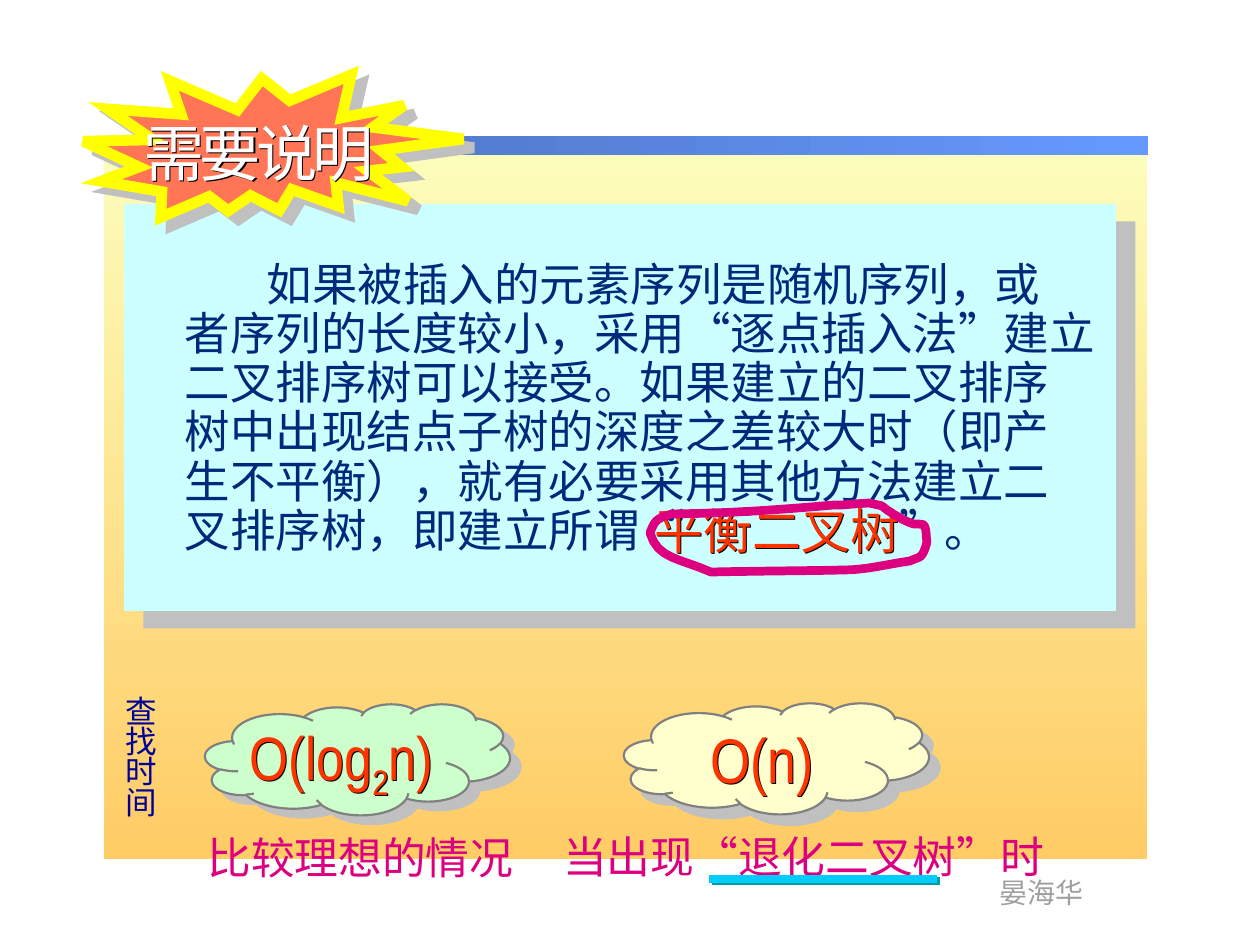
from lxml import etree
from pptx import Presentation
from pptx.dml.color import RGBColor
from pptx.enum.shapes import MSO_CONNECTOR, MSO_SHAPE
from pptx.enum.text import MSO_ANCHOR, MSO_AUTO_SIZE, PP_ALIGN
from pptx.oxml.ns import qn
from pptx.util import Pt

RECT, CLOUD, SEAL = MSO_SHAPE.RECTANGLE, MSO_SHAPE.CLOUD, MSO_SHAPE.EXPLOSION2
STRAIGHT = MSO_CONNECTOR.STRAIGHT
TOP, LEFT, NO_FIT = MSO_ANCHOR.TOP, PP_ALIGN.LEFT, MSO_AUTO_SIZE.NONE
SCALE = 914400 / 126
FONT = "Arial Narrow"
TEXT_SHADOW = ("black", 1, 45)
COLORS = {
    "cream": "FCFEBC", "amber": "FFCC66", "steel": "496DB6", "sky": "6699FF",
    "panel": "CCFFFF", "navy": "00297C", "label": "000099", "orange": "FF3300",
    "magenta": "DC0081", "mint": "CCFFCC", "ivory": "FFFFCD", "outline": "808080",
    "shadow": "C0C0C0", "coral": "FF7555", "yellow": "FFFF00", "white": "FFFFFF",
    "cyan": "00CCFF", "teal": "009EA1", "author": "9F9F9F", "black": "000000",
}
BODY = [
    "如果被插入的元素序列是随机序列，或",
    "者序列的长度较小，采用“逐点插入法”建立",
    "二叉排序树可以接受。如果建立的二叉排序",
    "树中出现结点子树的深度之差较大时（即产",
    "生不平衡），就有必要采用其他方法建立二",
    "叉排序树，即建立所谓“",
]
RING_START = (184, 2)
RING_CURVES = [
    ((126, 7), (85, 10), (22, 11)), ((5, 15), (4, 20), (0, 30)),
    ((8, 56), (29, 55), (61, 69)), ((106, 68), (150, 68), (194, 67)),
    ((216, 67), (238, 61), (260, 58)), ((264, 56), (269, 55), (271, 53)),
    ((275, 49), (277, 39), (277, 39)), ((276, 34), (277, 27), (274, 22)),
    ((272, 21), (267, 21), (264, 21)), ((260, 20), (256, 18), (252, 16)),
    ((223, 0), (242, 5), (219, 0)), ((187, 2), (198, 2), (184, 2)),
]


def px(n):
    return round(n * SCALE)


def rgb(name):
    return RGBColor.from_string(COLORS[name])


def add_shadow(sp, color, dist, angle):
    effects = etree.SubElement(sp._element.spPr, qn("a:effectLst"))
    shadow = etree.SubElement(effects, qn("a:outerShdw"), dist=str(Pt(dist)),
                              dir=str(angle * 60000), algn="ctr", rotWithShape="0")
    etree.SubElement(shadow, qn("a:srgbClr"), val=COLORS[color])


def add_box(s, kind, box, fill, line=None, width=1, shadow=None):
    sp = s.shapes.add_shape(kind, *map(px, box))
    if isinstance(fill, tuple):
        sp.fill.gradient()
        sp.fill.gradient_angle = fill[2]
        for stop, color in zip(sp.fill.gradient_stops, fill):
            stop.color.rgb = rgb(color)
    else:
        sp.fill.solid()
        sp.fill.fore_color.rgb = rgb(fill)
    if line:
        sp.line.color.rgb = rgb(line)
        sp.line.width = Pt(width)
    else:
        sp.line.fill.background()
    if shadow:
        add_shadow(sp, *shadow)
    else:
        sp.shadow.inherit = False
    return sp


def format_run(r, size, color):
    r.font.size = Pt(size)
    r.font.color.rgb = rgb(color)
    r.font.name = FONT


def add_text(s, box, lines, size, color, spacing=1, shadow=False):
    sp = s.shapes.add_textbox(*map(px, box))
    if shadow:
        add_shadow(sp, *TEXT_SHADOW)
    tf = sp.text_frame
    tf.text = lines
    tf.word_wrap = True
    for p in tf.paragraphs:
        p.line_spacing = spacing
        for r in p.runs:
            format_run(r, size, color)
    return tf


def place_placeholder(sp, box):
    sp.left, sp.top, sp.width, sp.height = map(px, box)
    sp.element.getparent().append(sp.element)
    tf = sp.text_frame
    tf.word_wrap, tf.auto_size, tf.vertical_anchor = True, NO_FIT, TOP
    return tf


def add_backdrop(s, x, y, w, h):
    add_box(s, RECT, (x, y, w, h), ("cream", "amber", 270))
    add_box(s, RECT, (x + 1, y - 3, w, 19), ("steel", "sky", 0))
    add_text(s, (x + 883, y + 730, 126, 47), "晏海华", 16, "author")


def add_case(s, x, y, fill, shadow, formula, formula_box, size, caption, caption_box):
    add_box(s, CLOUD, (x, y, 305, 111), fill, "outline", 1.25, shadow)
    dx, dy, w, h = formula_box
    tf = add_text(s, (x + dx, y + dy, w, h), formula[0], size, "orange", shadow=True)
    for i, part in enumerate(formula[1:], 1):
        r = tf.paragraphs[0].add_run()
        r.text = part
        format_run(r, size, "orange")
        if i == 1:
            r.font._element.set("baseline", "-25000")
    dx, dy, w, h = caption_box
    add_text(s, (x + dx, y + dy, w, h), caption, 25, "magenta")


def add_ring(s, x, y):
    start, points = RING_START, []
    for a, b, end in RING_CURVES:
        for t in (i / 8 for i in range(1, 9)):
            u = 1 - t
            points.append(tuple(
                px(o + u**3 * p0 + 3 * u * u * t * p1 + 3 * u * t * t * p2 + t**3 * p3)
                for o, p0, p1, p2, p3 in zip((x, y), start, a, b, end)))
        start = end
    builder = s.shapes.build_freeform(px(x + RING_START[0]), px(y + RING_START[1]), 1.0)
    builder.add_line_segments(points, close=True)
    ring = builder.convert_to_shape()
    ring.fill.background()
    ring.line.color.rgb = rgb("magenta")
    ring.line.width = Pt(5)
    ring.shadow.inherit = False


def add_explanation(s, x, y, w, h):
    add_box(s, RECT, (x, y, w, h), "panel", shadow=("shadow", 14.9, 42))
    tf = place_placeholder(s.placeholders[1], (x + 48, y + 52, 998, 307))
    tf.text = "\n".join(BODY)
    for i, p in enumerate(tf.paragraphs):
        p.line_spacing, p.space_before = 0.9, Pt(0)
        pPr = p._p.get_or_add_pPr()
        pPr.set("marL", "0")
        pPr.set("indent", str(px(0 if i else 82)))
        etree.SubElement(pPr, qn("a:buNone"))
        format_run(p.runs[0], 26, "navy")
    add_text(s, (x + 518, y + 290, 378, 72), "平衡二叉树", 28, "orange", shadow=True)
    add_text(s, (x + 763, y + 298, 150, 64), "”。", 26, "navy", 0.9)


def add_underline(s, x, y, w):
    line = s.shapes.add_connector(STRAIGHT, px(x), px(y), px(x + w), px(y))
    line.line.color.rgb = rgb("cyan")
    line.line.width = Pt(4.75)
    add_shadow(line, "teal", 2.2, 27)


def add_title_burst(s, x, y, w, h):
    burst = add_box(s, SEAL, (x, y, w, h), "coral", "yellow", 6.25, ("shadow", 7.8, 40))
    burst.rotation = 6.8
    etree.SubElement(burst._element.spPr.find(qn("a:ln")), qn("a:miter"), lim="800000")
    title = s.shapes.title
    p = place_placeholder(title, (x + 47, y + 43, 280, 86)).paragraphs[0]
    add_shadow(title, *TEXT_SHADOW)
    p.alignment = LEFT
    for word in ("需要", "说明"):
        r = p.add_run()
        r.text = word
        format_run(r, 35, "white")
        r.font._element.set("spc", "-290")


def main():
    prs = Presentation()
    prs.slide_width, prs.slide_height = px(1260), px(945)
    s = prs.slides.add_slide(prs.slide_layouts[1])
    add_backdrop(s, 104, 139, 1043, 720)
    add_case(s, 205, 704, "mint", ("shadow", 7.8, 40), ("Ο(log", "2", "n)"),
             (32, 9, 243, 86), 35, "比较理想的情况", (-10, 121, 336, 66))
    add_text(s, (113, 693, 68, 174), "查\n找\n时\n间", 18, "label", 0.8)
    add_case(s, 624, 703, "ivory", ("shadow", 8.5, 45), ("Ο(n)",),
             (74, 11, 179, 88), 36, "当出现“退化二叉树”时", (-73, 121, 566, 66))
    add_explanation(s, 124, 204, 992, 407)
    add_underline(s, 709, 879, 228)
    add_title_burst(s, 84, 66, 377, 164)
    add_ring(s, 650, 503)
    prs.save("out.pptx")


if __name__ == "__main__":
    main()
